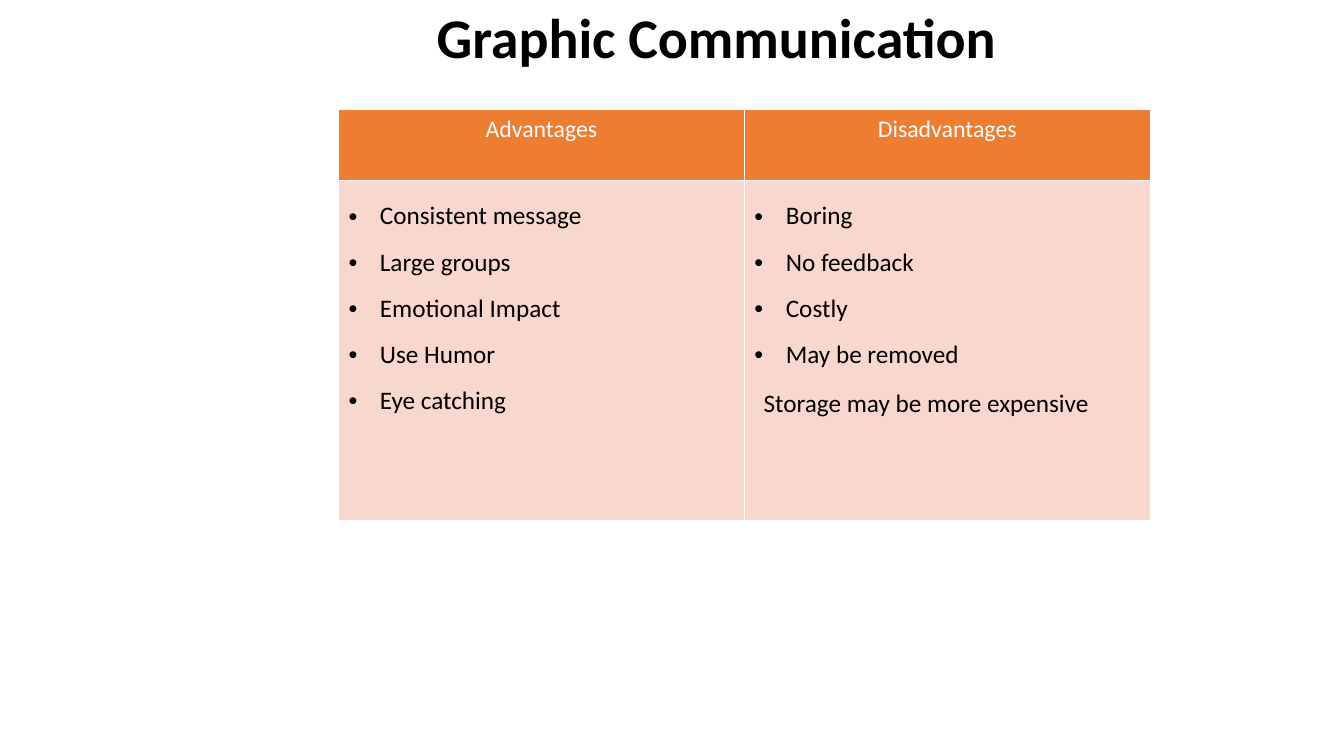
from dataclasses import dataclass

from lxml.etree import SubElement
from pptx import Presentation
from pptx.dml.color import RGBColor
from pptx.enum.text import MSO_ANCHOR, PP_ALIGN
from pptx.oxml import parse_xml
from pptx.oxml.ns import nsdecls, qn
from pptx.slide import Slide
from pptx.table import _Cell
from pptx.util import Cm, Pt

COLORS = {"text": "000000", "white": "FFFFFF", "header": "ED7D31", "body": "F8D7CE"}
FONT = "Calibri"


@dataclass
class Column:
    heading: str
    bullets: list[str]
    closing: str = ""


COLUMNS = [
    Column("Advantages", ["Consistent message", "Large groups", "Emotional Impact",
                          "Use Humor", "Eye catching"]),
    Column("Disadvantages", ["Boring", "No feedback", "Costly", "May be removed"],
           "Storage may be more expensive"),
]


def format_paragraph(paragraph, size: float, color: str, alignment: PP_ALIGN,
                     spacing: float = 1.0, bold: bool = False) -> None:
    paragraph.alignment = alignment
    paragraph.line_spacing = spacing
    for run in paragraph.runs:
        run.font.name = FONT
        run.font.size = Pt(size)
        run.font.bold = bold
        run.font.color.rgb = RGBColor.from_string(COLORS[color])


def indent_paragraph(paragraph, margin: int, bulleted: bool) -> None:
    properties = paragraph._p.get_or_add_pPr()
    properties.set("marL", str(margin))
    properties.set("indent", str(-margin if bulleted else 0))
    if bulleted:
        SubElement(properties, qn("a:buFont"), typeface="Arial")
        SubElement(properties, qn("a:buChar"), char="•")


def style_cell(cell: _Cell, fill: str) -> None:
    cell.fill.solid()
    cell.fill.fore_color.rgb = RGBColor.from_string(COLORS[fill])
    properties = cell._tc.get_or_add_tcPr()
    # Borders come before the fill
    for position, side in enumerate("LRTB"):
        properties.insert(position, parse_xml(
            f'<a:ln{side} {nsdecls("a")} w="{Pt(1)}"><a:solidFill>'
            f'<a:srgbClr val="{COLORS["white"]}"/></a:solidFill></a:ln{side}>'))


def add_title(slide: Slide, text: str) -> None:
    title = slide.shapes.title
    title.left, title.top, title.width, title.height = Cm(6.78), Cm(0), Cm(22.86), Cm(2.01)
    title.text_frame.text = text
    title.text_frame.vertical_anchor = MSO_ANCHOR.MIDDLE
    format_paragraph(title.text_frame.paragraphs[0], 40, "text", PP_ALIGN.CENTER, 0.9, True)


def fill_column(heading_cell: _Cell, body_cell: _Cell, column: Column) -> None:
    style_cell(heading_cell, "header")
    heading_cell.text_frame.text = column.heading
    format_paragraph(heading_cell.text_frame.paragraphs[0], 17, "white", PP_ALIGN.CENTER)

    style_cell(body_cell, "body")
    closing = [column.closing] if column.closing else []
    body_cell.text_frame.text = "\n".join(column.bullets + closing)
    for index, paragraph in enumerate(body_cell.text_frame.paragraphs):
        if index < len(column.bullets):
            format_paragraph(paragraph, 18, "text", PP_ALIGN.JUSTIFY, 1.5)
            indent_paragraph(paragraph, Cm(0.79), True)
        else:
            format_paragraph(paragraph, 18, "text", PP_ALIGN.LEFT, 1.6)
            indent_paragraph(paragraph, Cm(0.23), False)


def add_comparison(slide: Slide) -> None:
    table = slide.shapes.add_table(2, len(COLUMNS), Cm(8.53), Cm(2.76),
                                   Cm(20.46), Cm(10.36)).table
    table.rows[0].height = Cm(1.79)
    table.rows[1].height = Cm(8.57)
    for index, column in enumerate(COLUMNS):
        fill_column(table.cell(0, index), table.cell(1, index), column)


def main() -> None:
    presentation = Presentation()
    presentation.slide_width, presentation.slide_height = Cm(33.87), Cm(19.05)
    slide = presentation.slides.add_slide(presentation.slide_layouts[5])
    # Heading
    add_title(slide, "Graphic Communication ")
    # Advantages and disadvantages
    add_comparison(slide)
    presentation.save("out.pptx")


if __name__ == "__main__":
    main()
